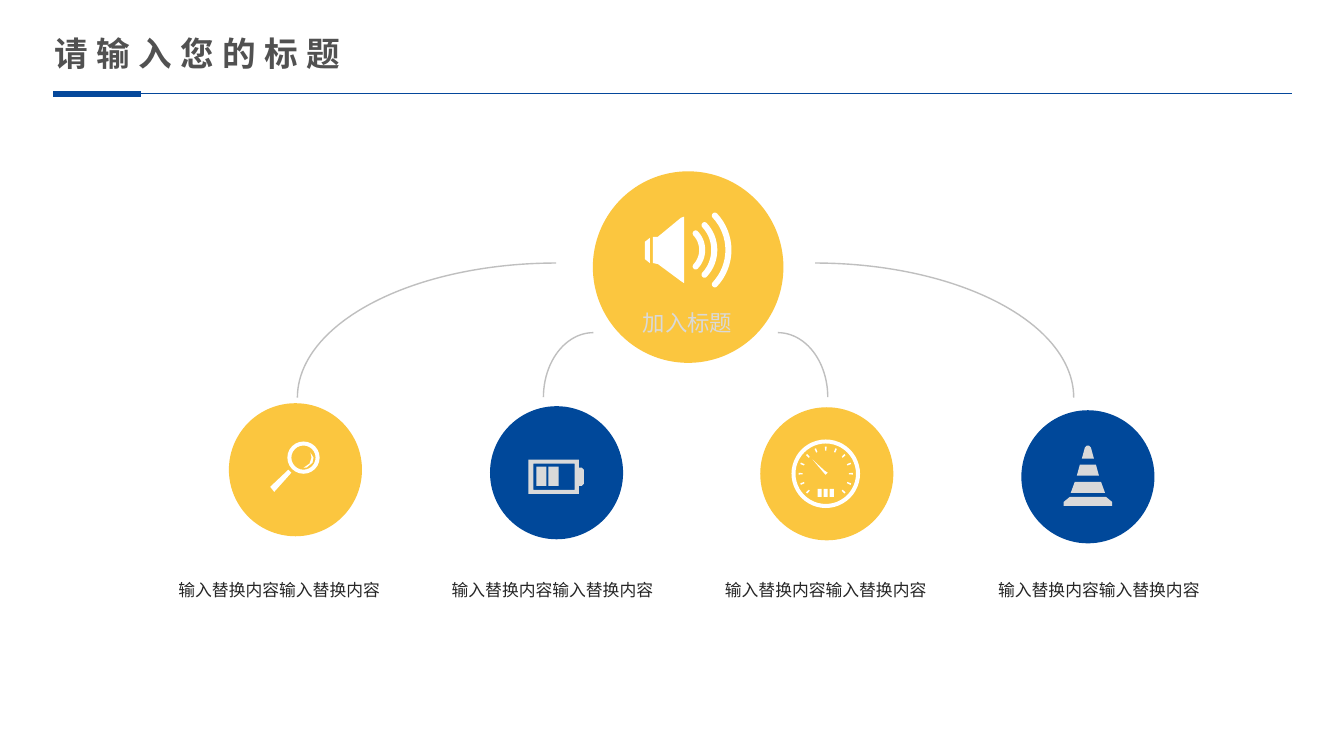
from dataclasses import dataclass
from math import cos, pi, radians, sin

from lxml import etree
from pptx import Presentation
from pptx.dml.color import RGBColor
from pptx.enum.shapes import MSO_CONNECTOR, MSO_SHAPE
from pptx.enum.text import MSO_AUTO_SIZE, PP_ALIGN
from pptx.oxml.ns import qn
from pptx.util import Inches, Pt

OVAL, RECT, ARC, DONUT = (MSO_SHAPE.OVAL, MSO_SHAPE.RECTANGLE,
                          MSO_SHAPE.ARC, MSO_SHAPE.DONUT)
STRAIGHT = MSO_CONNECTOR.STRAIGHT
GROW = MSO_AUTO_SIZE.SHAPE_TO_FIT_TEXT
LEFT, CENTER = PP_ALIGN.LEFT, PP_ALIGN.CENTER


@dataclass(frozen=True)
class Theme:
    font: str = "Noto Sans CJK SC"
    yellow: str = "FBC63F"
    blue: str = "00489A"
    rule: str = "05489B"
    curve: str = "BFBFBF"
    white: str = "FFFFFF"
    pale: str = "D9D9D9"
    heading: str = "515151"
    body: str = "262626"
    heading_size: int = 24
    hub_size: int = 16
    body_size: int = 12


T = Theme()


def rgb(value):
    return RGBColor.from_string(value)


# Basic parts
def paint(sp, color):
    sp.shadow.inherit = False
    sp.fill.solid()
    sp.fill.fore_color.rgb = rgb(color)
    sp.line.fill.background()
    return sp


def add_preset(s, kind, box, color):
    return paint(s.shapes.add_shape(kind, *map(Inches, box)), color)


def add_outline(s, origin, contours, color):
    """Draw closed contours whose points are offsets from origin."""
    x0, y0 = origin
    moved = [[(Inches(x0 + x), Inches(y0 + y)) for x, y in points] for points in contours]
    builder = s.shapes.build_freeform(*moved[0][0])
    for i, points in enumerate(moved):
        if i:
            builder.move_to(*points[0])
        builder.add_line_segments(points[1:], close=True)
    return paint(builder.convert_to_shape(), color)


def add_ring(s, center, radius, thickness, color):
    x, y = center
    sp = add_preset(s, DONUT, (x - radius, y - radius, 2 * radius, 2 * radius), color)
    sp.adjustments[0] = thickness / (2 * radius)


def add_bars(s, origin, count, size, pitch, color):
    x, y = origin
    for i in range(count):
        add_preset(s, RECT, (x + i * pitch, y, *size), color)


def add_text(s, box, text, size, color, align=LEFT, bold=False, tracking=0,
             margins=(0.05, 0.02), spacing=1.4):
    tf = s.shapes.add_textbox(*map(Inches, box)).text_frame
    mx, my = map(Inches, margins)
    frame = {"word_wrap": True, "auto_size": GROW, "margin_left": mx,
             "margin_right": mx, "margin_top": my, "margin_bottom": my}
    p = tf.paragraphs[0]
    r = p.add_run()
    formats = [(tf, frame),
               (p, {"alignment": align, "line_spacing": spacing}),
               (r, {"text": text}),
               (r.font, {"name": T.font, "size": Pt(size), "bold": bold}),
               (r.font.color, {"rgb": rgb(color)})]
    for target, values in formats:
        for name, value in values.items():
            setattr(target, name, value)
    rPr = r.font._element
    etree.SubElement(rPr, qn("a:ea")).set("typeface", T.font)
    if tracking:
        rPr.set("spc", str(tracking * 100))


def polar(radius, angle):
    return radius * cos(angle), -radius * sin(angle)


# Icons, each placed around the centre of its circle
def speaker_icon(s, x, y, color):
    back = [(-0.43, -0.25), (-0.38, -0.29), (-0.38, -0.04), (-0.43, -0.08)]
    horn = [(-0.35, -0.3), (-0.3, -0.3), (-0.07, -0.49), (-0.04, -0.5),
            (-0.04, 0.16), (-0.07, 0.14), (-0.3, -0.03), (-0.35, -0.04)]
    for part in (back, horn):
        add_outline(s, (x, y), [part], color)
    half, span, steps = 0.03, radians(43), 16
    for radius in (0.24, 0.36, 0.5):
        points = []
        for side in (1, -1):
            points += [polar(radius + side * half, side * span * (2 * i / steps - 1))
                       for i in range(steps + 1)]
            cx, cy = polar(radius, side * span)
            for i in range(1, 8):
                dx, dy = polar(half, side * span + pi * i / 8 + (0 if side > 0 else pi))
                points.append((cx + dx, cy + dy))
        add_outline(s, (x - 0.1, y - 0.17), [points], color)


def magnifier_icon(s, x, y, color):
    add_ring(s, (x + 0.08, y - 0.12), 0.16, 0.04, color)
    handle = [(-0.25, 0.17), (-0.21, 0.22), (-0.04, 0.03), (-0.07, 0)]
    glint = [(0.15, -0.17), (0.16, -0.12), (0.14, -0.06), (0.08, -0.02),
             (0.11, -0.02), (0.17, -0.07), (0.18, -0.12)]
    for part in (handle, glint):
        add_outline(s, (x, y), [part], color)


def battery_icon(s, x, y, color):
    shell = [(-0.28, -0.13), (0.22, -0.13), (0.22, -0.05), (0.25, -0.05),
             (0.27, -0.03), (0.27, 0.11), (0.25, 0.13), (0.22, 0.13),
             (0.22, 0.21), (-0.28, 0.21)]
    window = [(-0.23, -0.09), (-0.23, 0.17), (0.18, 0.17), (0.18, -0.09)]
    add_outline(s, (x, y), [shell, window], color)
    add_bars(s, (x - 0.2, y - 0.06), 2, (0.1, 0.19), 0.12, color)


def gauge_icon(s, x, y, color):
    x -= 0.01
    add_ring(s, (x, y), 0.34, 0.04, color)
    add_bars(s, (x - 0.08, y + 0.15), 3, (0.04, 0.08), 0.06, color)
    needle = [(-0.13, -0.14), (-0.01, -0.03), (0.02, -0.01), (0, 0.01), (-0.02, -0.01)]
    add_outline(s, (x, y), [needle], color)
    for i in range(13):
        angle = radians(-45 + 22.5 * i)
        tick = [polar(radius, angle + turn) for radius, turn in
                ((0.23, -0.03), (0.27, -0.03), (0.27, 0.03), (0.23, 0.03))]
        add_outline(s, (x, y), [tick], color)


def cone_icon(s, x, y, color):
    bands = [(0.17, 0.16, 0.13, 0.05), (0.11, -0.01, 0.08, -0.12)]
    contours = [[(-low, bottom), (-high, top), (high, top), (low, bottom)]
                for low, bottom, high, top in bands]
    contours.append([(-0.24, 0.29), (-0.24, 0.25), (-0.18, 0.2),
                     (0.18, 0.2), (0.24, 0.25), (0.24, 0.29)])
    contours.append([(-0.06, -0.18), (-0.03, -0.29), (-0.01, -0.31),
                     (0.01, -0.31), (0.03, -0.29), (0.06, -0.18)])
    add_outline(s, (x, y), contours, color)


# Regions
def header(s, box, title):
    x, y, w, h = box
    add_text(s, (x - 0.09, y, 3.5, 0.5), title, T.heading_size, T.heading,
             bold=True, tracking=6, margins=(0.1, 0.05), spacing=1.0)
    accent = x + 0.87
    for start, end, width in ((x, accent, 4.5), (accent, x + w, 0.5)):
        line = s.shapes.add_connector(STRAIGHT, Inches(start), Inches(y + h),
                                      Inches(end), Inches(y + h))
        line.line.color.rgb = rgb(T.rule)
        line.line.width = Pt(width)
        etree.SubElement(line._element.spPr, qn("a:effectLst"))


def branches(s, axis, top):
    for offset, drop, w, h in ((-1.28, 0, 5.13, 2.67), (0.42, 0.69, 0.99, 1.28)):
        for mirrored in (False, True):
            x = axis - offset - w if mirrored else axis + offset
            sp = s.shapes.add_shape(ARC, *map(Inches, (x, top + drop, w, h)))
            sp.shadow.inherit = False
            sp.fill.background()
            sp.line.color.rgb = rgb(T.curve)
            sp.line.width = Pt(1)
            if mirrored:
                sp._element.spPr.find(qn("a:xfrm")).set("flipH", "1")


def hub(s, box, label):
    x, y, w, h = box
    add_preset(s, OVAL, box, T.yellow)
    speaker_icon(s, x + w / 2, y + h / 2, T.white)
    add_text(s, (x + 0.17, y + 1.24, 1.54, 0.39), label, T.hub_size, T.pale, CENTER)


def topics(s, box, items):
    x, y, w, h = box
    pitch, size = w / len(items), 1.32
    for i, (left, drop, fill, icon, ink, label) in enumerate(items):
        cx, cy = x + left, y + drop
        add_preset(s, OVAL, (cx, cy, size, size), fill)
        icon(s, cx + size / 2, cy + size / 2, ink)
        add_text(s, (x + i * pitch, y + h - 0.31, 2.2, 0.31), label, T.body_size, T.body)


def main():
    prs = Presentation()
    prs.slide_width, prs.slide_height = Inches(13.33), Inches(7.5)
    s = prs.slides.add_slide(prs.slide_layouts[6])
    label = "输入替换内容输入替换内容"
    topics(s, (1.72, 4, 10.84, 1.96), [
        (0.55, 0, T.yellow, magnifier_icon, T.white, label),
        (3.14, 0.03, T.blue, battery_icon, T.pale, label),
        (5.82, 0.04, T.yellow, gauge_icon, T.white, label),
        (8.41, 0.07, T.blue, cone_icon, T.pale, label)])
    branches(s, 6.8, 2.61)
    hub(s, (5.88, 1.7, 1.89, 1.9), "加入标题")
    header(s, (0.53, 0.28, 12.28, 0.65), "请输入您的标题")
    prs.save("out.pptx")


if __name__ == "__main__":
    main()
